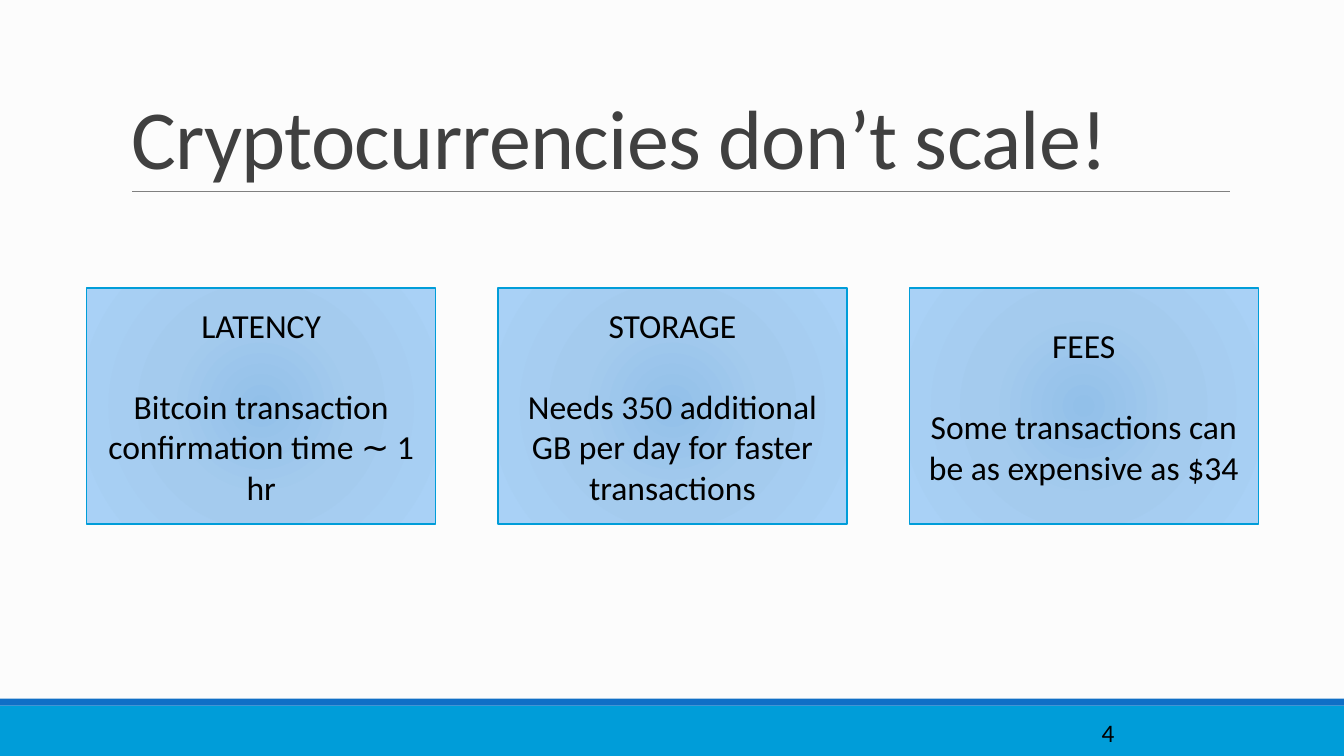
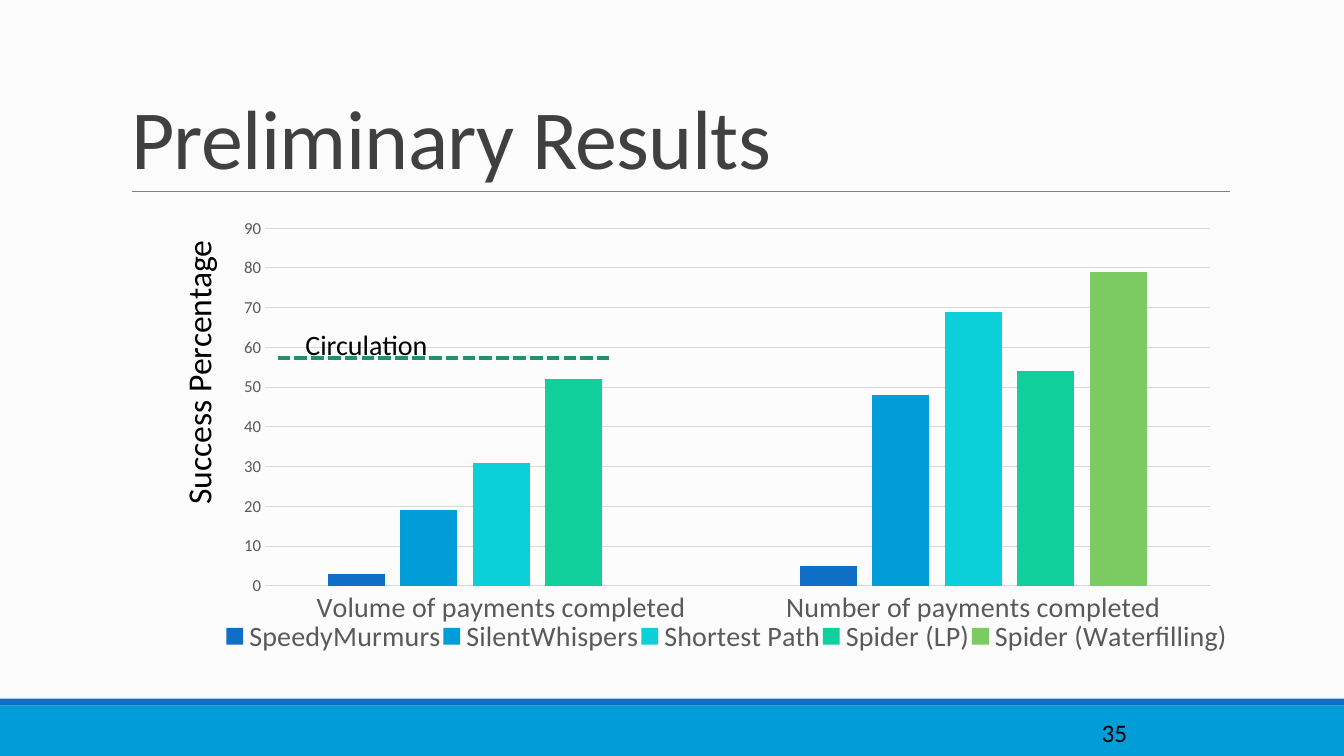
from dataclasses import dataclass

from lxml import etree
from pptx import Presentation
from pptx.chart.data import CategoryChartData
from pptx.dml.color import RGBColor
from pptx.enum.chart import XL_CHART_TYPE, XL_LEGEND_POSITION, XL_TICK_MARK
from pptx.enum.dml import MSO_LINE
from pptx.enum.shapes import MSO_CONNECTOR, MSO_SHAPE
from pptx.enum.text import MSO_ANCHOR, PP_ALIGN
from pptx.oxml.ns import qn
from pptx.util import Inches, Pt

RECT = MSO_SHAPE.RECTANGLE
LINE = MSO_CONNECTOR.STRAIGHT
DASH = MSO_LINE.SQUARE_DOT
LEFT, MID = PP_ALIGN.LEFT, PP_ALIGN.CENTER
TOP, HALF, BASE = MSO_ANCHOR.TOP, MSO_ANCHOR.MIDDLE, MSO_ANCHOR.BOTTOM
BARS = XL_CHART_TYPE.COLUMN_CLUSTERED
BELOW = XL_LEGEND_POSITION.BOTTOM
NO_TICK = XL_TICK_MARK.NONE

WIDE, HIGH = Inches(13.333), Inches(7.5)


@dataclass(frozen=True)
class Theme:
    font: str = "Calibri"
    back: str = "FCFCFC"
    ink: str = "000000"
    head: str = "404040"
    rule: str = "808080"
    band: str = "009DD9"
    strip: str = "0F6FC6"
    grid: str = "D9D9D9"
    label: str = "595959"
    dash: str = "298E6D"
    glow: tuple = ((0, "92C0E9"), (45, "A4CBEE"), (100, "A9D1F6"))
    bars: tuple = ("0F6FC6", "009DD9", "0BD0D9", "10CF9B", "7CCA62")
    title: int = 60
    body: int = 24
    note: int = 20
    page: int = 18
    tick: int = 12


T = Theme()

CARDS = (
    ("LATENCY", "Bitcoin transaction confirmation time ∼ 1 hr"),
    ("STORAGE", "Needs 350 additional GB per day for faster transactions"),
    ("FEES", "Some transactions can be as expensive as $34"),
)
GROUPS = ("Volume of payments completed", "Number of payments completed")
SCORES = (
    ("SpeedyMurmurs", (3, 5)),
    ("SilentWhispers", (19, 48)),
    ("Shortest Path", (31, 69)),
    ("Spider (LP)", (52, 54)),
    ("Spider (Waterfilling)", (None, 79)),
)


def rgb(code):
    return RGBColor.from_string(code)


def place(x, y, w, h):
    return [int(n * side / 100) for n, side in zip((x, y, w, h), (WIDE, HIGH) * 2)]


def style(font, size, color):
    font.name = T.font
    font.size = Pt(size)
    font.color.rgb = rgb(color)


def write(frame, lines, size, color=T.ink, align=LEFT, anchor=TOP, gap=0):
    frame.word_wrap = True
    frame.vertical_anchor = anchor
    frame.text = "\n".join(lines)
    for i, para in enumerate(frame.paragraphs):
        para.alignment = align
        if i:
            para.space_before = Pt(gap)
        for run in para.runs:
            style(run.font, size, color)


def label(slide, text, spot, size, color=T.ink, anchor=TOP):
    box = slide.shapes.add_textbox(*place(*spot))
    write(box.text_frame, [text], size, color, anchor=anchor)
    return box


def block(slide, spot, color):
    shape = slide.shapes.add_shape(RECT, *place(*spot))
    shape.shadow.inherit = False
    shape.fill.solid()
    shape.fill.fore_color.rgb = rgb(color)
    shape.line.fill.background()
    return shape


def stroke(slide, x, y, end, color, width):
    line = slide.shapes.add_connector(LINE, *place(x, y, end, y))
    line.line.color.rgb = rgb(color)
    line.line.width = Pt(width)
    etree.SubElement(line._element.spPr, qn("a:effectLst"))
    return line


def glow(shape):
    shape.fill.gradient()
    grad = shape._element.spPr.find(qn("a:gradFill"))
    for child in list(grad):
        grad.remove(child)
    stops = etree.SubElement(grad, qn("a:gsLst"))
    for share, color in T.glow:
        stop = etree.SubElement(stops, qn("a:gs"), pos=str(share * 1000))
        etree.SubElement(stop, qn("a:srgbClr"), val=color)
    route = etree.SubElement(grad, qn("a:path"), path="circle")
    etree.SubElement(route, qn("a:fillToRect"), dict.fromkeys("ltrb", "50000"))


def card(slide, spot, lines):
    shape = block(slide, spot, T.band)
    glow(shape)
    shape.line.color.rgb = rgb(T.band)
    shape.line.width = Pt(1)
    write(shape.text_frame, lines, T.body, align=MID, anchor=HALF, gap=29)


def start(deck, title, page):
    slide = deck.slides.add_slide(deck.slide_layouts[6])
    slide.background.fill.solid()
    slide.background.fill.fore_color.rgb = rgb(T.back)
    block(slide, (0, 93.33, 100, 6.67), T.band)
    block(slide, (0, 92.4, 100, 0.93), T.strip)
    stroke(slide, 9.83, 25.33, 91.55, T.rule, 0.5)
    head = label(slide, title, (9.03, 4.13, 82.5, 21.2), T.title, T.head, BASE)
    para = head.text_frame.paragraphs[0]
    para.line_spacing = 0.85
    para.runs[0].font._element.set("spc", "-50")
    label(slide, str(page), (81.23, 94.2, 10.73, 5.33), T.page)
    return slide


def pin(part, index, spot, inner=False):
    for old in part.findall(qn("c:layout")):
        part.remove(old)
    layout = etree.Element(qn("c:layout"))
    part.insert(index, layout)
    manual = etree.SubElement(layout, qn("c:manualLayout"))
    if inner:
        etree.SubElement(manual, qn("c:layoutTarget"), val="inner")
    for mode in ("xMode", "yMode"):
        etree.SubElement(manual, qn("c:" + mode), val="edge")
    for key, share in zip("xywh", spot):
        etree.SubElement(manual, qn("c:" + key), val=str(share / 100))


def plot(slide, spot):
    data = CategoryChartData()
    data.categories = GROUPS
    for name, vals in SCORES:
        data.add_series(name, vals)
    chart = slide.shapes.add_chart(BARS, *place(*spot), data).chart
    chart.has_title = False
    style(chart.font, T.tick, T.label)
    chart.has_legend = True
    chart.legend.position = BELOW
    chart.legend.include_in_layout = False
    style(chart.legend.font, T.note, T.label)
    pin(chart.legend._element, 1, (0, 85.7, 100, 6.7))
    pin(chart._chartSpace.chart.plotArea, 0, (4.1, 4.1, 93.9, 74.7), True)

    bars = chart.plots[0]
    bars.vary_by_categories = False
    bars.gap_width = 219
    bars.overlap = -27
    for row, color in zip(bars.series, T.bars):
        row.format.fill.solid()
        row.format.fill.fore_color.rgb = rgb(color)

    base, side = chart.category_axis, chart.value_axis
    for axis, size in ((base, T.note), (side, T.tick)):
        axis.major_tick_mark = axis.minor_tick_mark = NO_TICK
        style(axis.tick_labels.font, size, T.label)
    side.minimum_scale, side.maximum_scale, side.major_unit = 0, 90, 10
    side.format.line.fill.background()
    side.has_major_gridlines = True
    for pen in (base.format.line, side.major_gridlines.format.line):
        pen.color.rgb = rgb(T.grid)
        pen.width = Pt(0.75)


def limits(deck):
    slide = start(deck, "Cryptocurrencies don’t scale!", 4)
    width, gap = 25.97, 4.63
    for i, lines in enumerate(CARDS):
        card(slide, (6.45 + i * (width + gap), 38.1, width, 31.2), lines)


def results(deck):
    slide = start(deck, "Preliminary Results", 35)
    axis = label(slide, "Success Percentage", (2.7, 43.33, 24.08, 6.67), T.body)
    axis.rotation = 270
    plot(slide, (16.65, 27.6, 74.85, 63.33))
    line = stroke(slide, 20.65, 47.33, 45.3, T.dash, 3)
    line.line.dash_style = DASH
    label(slide, "Circulation", (21.98, 42.67, 13.13, 5.87), T.note)


def main():
    deck = Presentation()
    deck.slide_width, deck.slide_height = WIDE, HIGH
    limits(deck)
    results(deck)
    deck.save("out.pptx")


if __name__ == "__main__":
    main()
